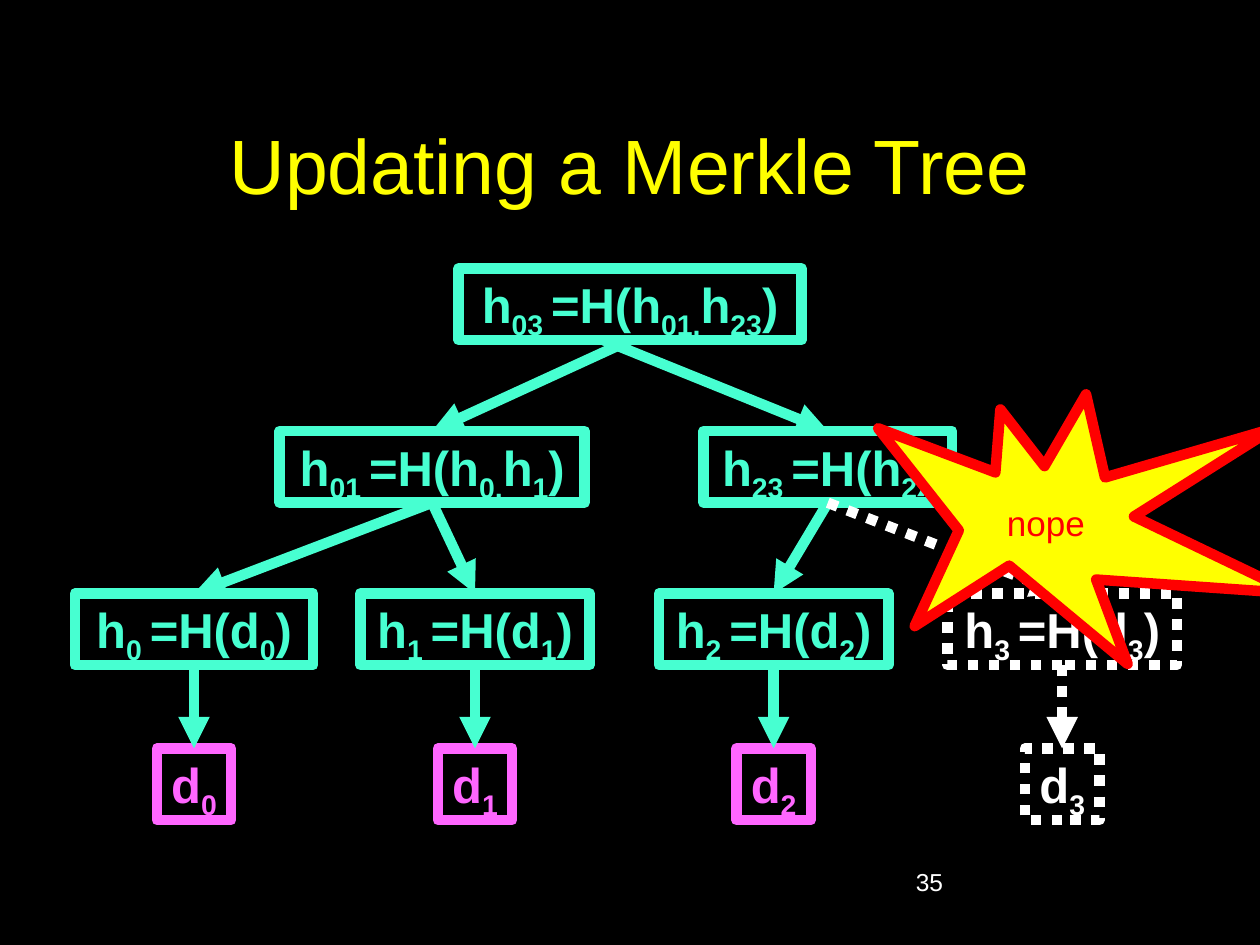
from pptx import Presentation
from pptx.dml.color import RGBColor
from pptx.enum import dml, shapes, text
from pptx.oxml.ns import qn
from pptx.util import Inches, Pt
from lxml import etree

BLACK = RGBColor(0x00, 0x00, 0x00)
WHITE = RGBColor(0xFF, 0xFF, 0xFF)
YELLOW = RGBColor(0xFF, 0xFF, 0x00)
RED = RGBColor(0xFF, 0x00, 0x00)
TEAL = RGBColor(0x47, 0xFF, 0xD1)
PINK = RGBColor(0xFF, 0x66, 0xFF)

BOX_HEIGHT = 0.57
ROOT_Y, PARENT_Y, HASH_Y, DATA_Y = 2.13, 3.42, 4.71, 5.94

# Nodes: centre x, top, width, colour, label (every second part is a subscript)
NODES = {
    "h03": (5.0, ROOT_Y, 2.72, TEAL, "h|03 |=H(h|01,|h|23|)"),
    "h01": (3.43, PARENT_Y, 2.42, TEAL, "h|01 |=H(h|0,|h|1|)"),
    "h23": (6.57, PARENT_Y, 1.97, TEAL, "h|23 |=H(h|2|)"),
}
EDGES = [("h03", "h01"), ("h03", "h23")]

# Hash and data pairs: centre x, hash width, parent, hash colour, data colour
LEAVES = [
    (1.54, 1.89, "h01", TEAL, PINK),
    (3.77, 1.82, "h01", TEAL, PINK),
    (6.14, 1.82, "h23", TEAL, PINK),
    (8.43, 1.82, "h23", WHITE, WHITE),
]
for i, (x, width, parent, hash_color, data_color) in enumerate(LEAVES):
    NODES[f"h{i}"] = (x, HASH_Y, width, hash_color, f"h|{i} |=H(d|{i}|)")
    NODES[f"d{i}"] = (x, DATA_Y, 0.59, data_color, f"d|{i}")
    EDGES += [(parent, f"h{i}"), (f"h{i}", f"d{i}")]

EDGE_STARTS = {("h03", "h23"): 4.79}  # starts left of the box centre

BURST = [(8.29, 3.7), (7.94, 3.25), (7.9, 3.75), (6.97, 3.4), (7.61, 4.21),
         (7.26, 4.97), (8.01, 4.49), (8.95, 5.27), (8.7, 4.6), (10.27, 4.71),
         (9, 4.1), (10.11, 3.4), (8.77, 3.79), (8.62, 3.13)]

presentation = Presentation()
presentation.slide_width, presentation.slide_height = Inches(10), Inches(7.5)
slide = presentation.slides.add_slide(presentation.slide_layouts[6])
slide.background.fill.solid()
slide.background.fill.fore_color.rgb = BLACK


def add_run(paragraph, words, size, color, bold=False, subscript=False):
    run = paragraph.add_run()
    run.text = words
    font = run.font
    font.name, font.size, font.bold = "Arial", Pt(size), bold
    font.color.rgb = color
    if subscript:
        font._element.set("baseline", "-25000")


def add_text(box, words, size, color, align, wrap=True,
             anchor=text.MSO_ANCHOR.TOP):
    shape = slide.shapes.add_textbox(*map(Inches, box))
    frame = shape.text_frame
    frame.word_wrap, frame.vertical_anchor = wrap, anchor
    paragraph = frame.paragraphs[0]
    paragraph.alignment = align
    add_run(paragraph, words, size, color)


def style_line(line, color):
    line.color.rgb = color
    line.width = Pt(6)
    if color == WHITE:
        line.dash_style = dml.MSO_LINE.ROUND_DOT  # written as sysDot


def add_node(x, top, width, color, label):
    shape = slide.shapes.add_shape(
        shapes.MSO_SHAPE.RECTANGLE, Inches(x - width / 2), Inches(top),
        Inches(width), Inches(BOX_HEIGHT))
    shape.shadow.inherit = False
    shape.fill.solid()
    shape.fill.fore_color.rgb = BLACK
    style_line(shape.line, color)
    frame = shape.text_frame
    frame.word_wrap, frame.vertical_anchor = False, text.MSO_ANCHOR.TOP
    paragraph = frame.paragraphs[0]
    paragraph.alignment = text.PP_ALIGN.CENTER
    for i, part in enumerate(label.split("|")):
        add_run(paragraph, part, 28, color, bold=True, subscript=i % 2 == 1)


def add_edge(start, end):
    start_x, start_top = NODES[start][:2]
    end_x, end_top, _, color, _ = NODES[end]
    start_x = EDGE_STARTS.get((start, end), start_x)
    connector = slide.shapes.add_connector(
        shapes.MSO_CONNECTOR.STRAIGHT, Inches(start_x),
        Inches(start_top + BOX_HEIGHT), Inches(end_x), Inches(end_top))
    style_line(connector.line, TEAL if color == PINK else color)
    properties = connector._element.spPr
    etree.SubElement(properties.find(qn("a:ln")), qn("a:tailEnd"), type="triangle")
    etree.SubElement(properties, qn("a:effectLst"))


# Title and slide number
add_text((0.75, 0.67, 8.5, 1.25), "Updating a Merkle Tree", 44, YELLOW,
         text.PP_ALIGN.CENTER, anchor=text.MSO_ANCHOR.MIDDLE)
add_text((7.17, 6.83, 2.08, 0.5), "35", 14, WHITE, text.PP_ALIGN.LEFT)

# Tree
for node in NODES.values():
    add_node(*node)
for edge in EDGES:
    add_edge(*edge)

# Burst with its word
points = [(Inches(x), Inches(y)) for x, y in BURST]
builder = slide.shapes.build_freeform(*points[0])
builder.add_line_segments(points[1:], close=True)
burst = builder.convert_to_shape()
burst.shadow.inherit = False
burst.fill.solid()
burst.fill.fore_color.rgb = YELLOW
style_line(burst.line, RED)
etree.SubElement(burst._element.spPr.find(qn("a:ln")), qn("a:round"))
add_text((7.88, 3.93, 0.83, 0.44), "nope", 20, RED, text.PP_ALIGN.RIGHT, wrap=False)

presentation.save("out.pptx")
